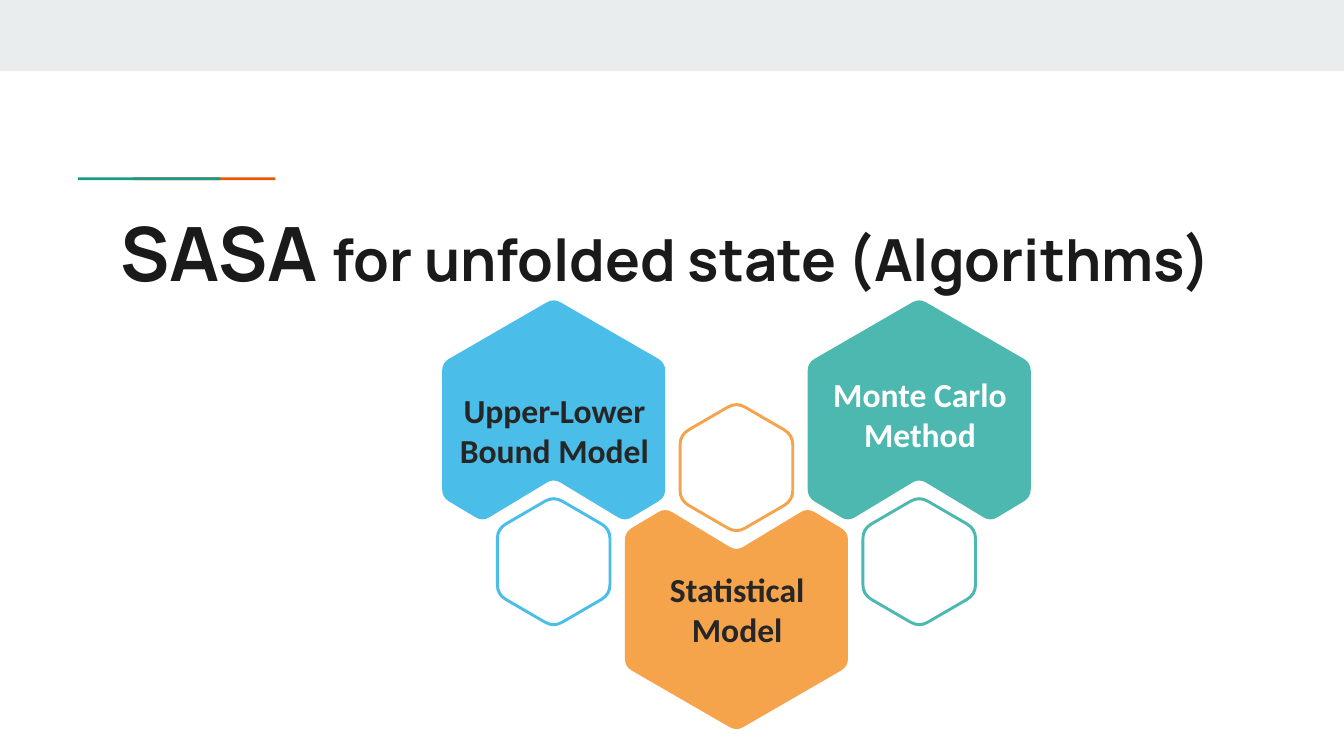
import pptx
import pptx.dml.color
import pptx.enum.shapes
import pptx.enum.text
import pptx.util

RGB = pptx.dml.color.RGBColor
GREY = RGB(0xE9, 0xED, 0xEE)
RED = RGB(0xEB, 0x56, 0x00)
GREEN = RGB(0x1A, 0x99, 0x88)
INK = RGB(0x1A, 0x1A, 0x1A)
DARK = RGB(0x26, 0x26, 0x26)
WHITE = RGB(0xFF, 0xFF, 0xFF)
BLUE = RGB(0x4A, 0xBD, 0xE8)
GOLD = RGB(0xF6, 0xA4, 0x4C)
TEAL = RGB(0x4D, 0xB8, 0xB0)
Inch = pptx.util.Inches
Pt = pptx.util.Pt

deck = pptx.Presentation()
deck.slide_width = Inch(10)
deck.slide_height = Inch(10 * 9 / 16)
slide = deck.slides.add_slide(deck.slide_layouts[6])
shapes = slide.shapes


def soften(corners, cut):
    """Return the outline with each corner replaced by a short curve."""
    dots = []
    for i, (x, y) in enumerate(corners):
        ends = []
        for a, b in (corners[i - 1], corners[(i + 1) % len(corners)]):
            part = cut / ((a - x) ** 2 + (b - y) ** 2) ** 0.5
            ends.append((x + (a - x) * part, y + (b - y) * part))
        (ax, ay), (bx, by) = ends
        for t in (0, 0.25, 0.5, 0.75, 1):
            u = 1 - t
            dots.append((u * u * ax + 2 * u * t * x + t * t * bx,
                         u * u * ay + 2 * u * t * y + t * t * by))
    return dots


def write(box, margins, runs, font):
    """Put runs of (text, size) in a wrapped box of one paragraph."""
    frame = box.text_frame
    frame.word_wrap = True
    for side, gap in zip(("left", "top", "right", "bottom"), margins):
        setattr(frame, "margin_" + side, Inch(gap))
    for text, size in runs:
        run = frame.paragraphs[0].add_run()
        run.text = text
        run.font.color.rgb = font["color"]
        look = {"size": Pt(size), "name": font["name"], "bold": True}
        for key, value in look.items():
            setattr(run.font, key, value)
    return frame


# Top band and two-tone accent line
for left, top, width, height, color in (
        (0, 0, 10, 0.53, GREY),
        (0.99, 1.32, 1.06, 0.02, RED),
        (0.58, 1.32, 1.06, 0.02, GREEN)):
    bar = shapes.add_shape(pptx.enum.shapes.MSO_SHAPE.RECTANGLE,
                           *map(Inch, (left, top, width, height)))
    bar.shadow.inherit = False
    bar.fill.solid()
    bar.fill.fore_color.rgb = color
    bar.line.fill.background()

title = shapes.add_textbox(*map(Inch, (0.8, 1.44, 8.41, 0.59)))
write(title, (0.1,) * 4,
      (("SASA ", 40.1), ("for unfolded state (Algorithms)", 31.1)),
      {"name": "Manrope", "color": INK})

# Corners relative to the centre of each hexagon
NOTCHED = ((0, -0.83), (0.83, -0.35), (0.83, 0.65), (0.53, 0.83),
           (0, 0.51), (-0.53, 0.83), (-0.83, 0.65), (-0.83, -0.35))
SMALL = ((0, -0.5), (0.43, -0.25), (0.43, 0.25),
         (0, 0.5), (-0.43, 0.25), (-0.43, -0.25))
INNER = [(x * 0.95, y * 0.95) for x, y in SMALL]
FIRST, PITCH = 4.12, 1.36

# Tile centre, ring centre, flip, fill, label, label top, label colour
tiles = (
    (3.05, 4.18, 1, BLUE, "Upper-Lower Bound Model", 2.84, DARK),
    (4.61, 3.48, -1, GOLD, "Statistical Model", 4.17, DARK),
    (3.05, 4.18, 1, TEAL, "Monte Carlo Method", 2.72, WHITE),
)
for col, (mid, ring, flip, color, label, top, ink) in enumerate(tiles):
    x = FIRST + col * PITCH
    solid = [soften(NOTCHED, 0.06)]
    hollow = [soften(SMALL, 0.08), soften(INNER, 0.07)[::-1]]
    for y, loops in ((mid, solid), (ring, hollow)):
        pen = None
        for loop in loops:
            dots = [(Inch(x + a), Inch(y + b * flip)) for a, b in loop]
            if pen is None:
                pen = shapes.build_freeform(*dots[0])
            else:
                pen.move_to(*dots[0])
            pen.add_line_segments(dots[1:], close=True)
        hexa = pen.convert_to_shape()
        hexa.shadow.inherit = False
        hexa.fill.solid()
        hexa.fill.fore_color.rgb = color
        hexa.line.fill.background()
    box = shapes.add_textbox(*map(Inch, (x - 0.82, top, 1.65, 0.71)))
    frame = write(box, (0, 0.05, 0, 0.05), ((label, 18),),
                  {"name": "Calibri", "color": ink})
    frame.vertical_anchor = pptx.enum.text.MSO_ANCHOR.BOTTOM
    frame.paragraphs[0].alignment = pptx.enum.text.PP_ALIGN.CENTER

deck.save("out.pptx")
